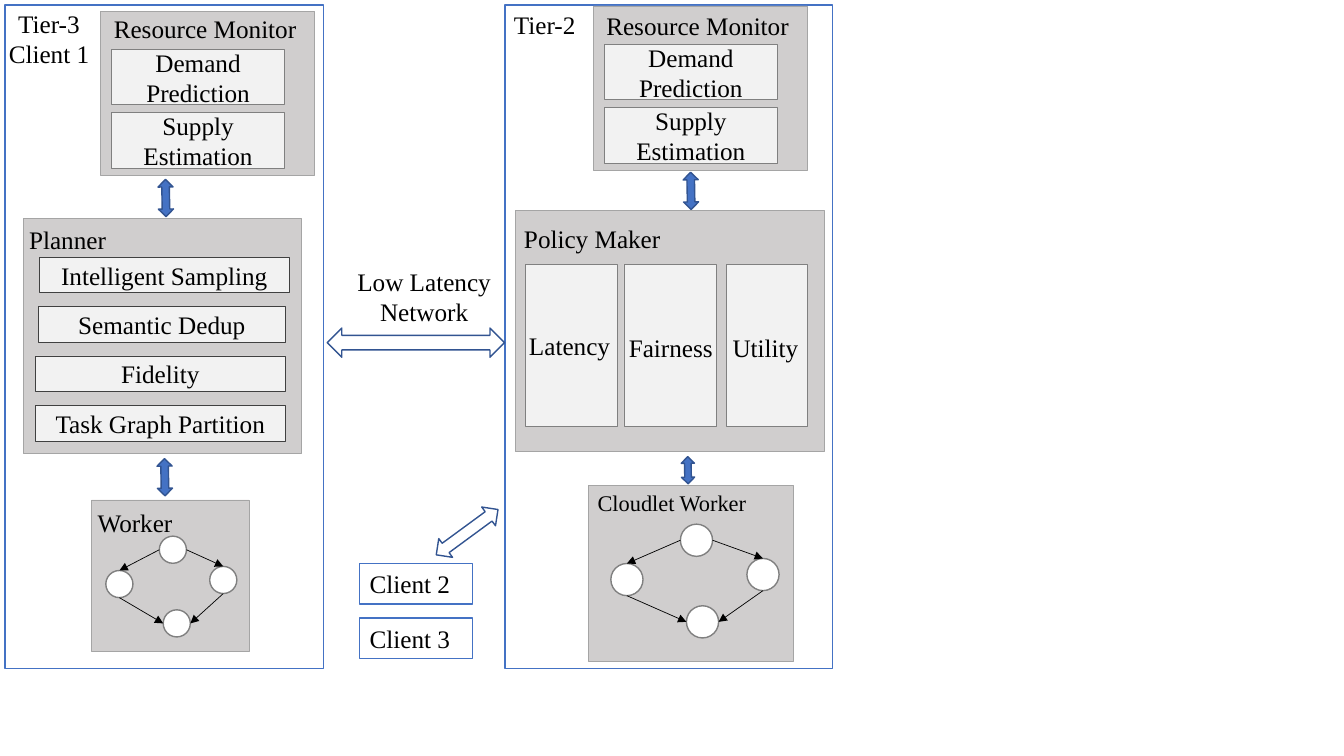
from pptx import Presentation
from pptx.dml.color import RGBColor
from pptx.enum.shapes import MSO_CONNECTOR, MSO_SHAPE
from pptx.enum.text import MSO_ANCHOR, PP_ALIGN
from pptx.oxml.ns import qn
from pptx.util import Pt
from lxml.etree import SubElement

BLACK = RGBColor(0x00, 0x00, 0x00)
WHITE = RGBColor(0xFF, 0xFF, 0xFF)
BLUE = RGBColor(0x44, 0x72, 0xC4)
DARK_BLUE = RGBColor(0x32, 0x54, 0x91)
PANEL = RGBColor(0xD0, 0xCE, 0xCE)
PANEL_EDGE = RGBColor(0xA5, 0xA5, 0xA5)
LIGHT = RGBColor(0xF2, 0xF2, 0xF2)
GRAY = RGBColor(0x80, 0x80, 0x80)
DARK_GRAY = RGBColor(0x40, 0x40, 0x40)

prs = Presentation()
prs.slide_width, prs.slide_height = Pt(960), Pt(540)
s = prs.slides.add_slide(prs.slide_layouts[6])


def add_box(kind, x, y, w, h, fill, line, weight):
    """Add a preset shape with a flat fill and outline."""
    sp = s.shapes.add_shape(kind, Pt(x), Pt(y), Pt(w), Pt(h))
    sp.shadow.inherit = False
    sp.fill.solid()
    sp.fill.fore_color.rgb = fill
    sp.line.color.rgb = line
    sp.line.width = Pt(weight)
    return sp


def write(sp, text, align=PP_ALIGN.LEFT, anchor=MSO_ANCHOR.TOP, size=18):
    """Write black serif text into a shape, one paragraph per line."""
    tf = sp.text_frame
    tf.text = text
    tf.word_wrap = True
    tf.vertical_anchor = anchor
    for p in tf.paragraphs:
        p.alignment = align
        p.font.name = "Times New Roman"
        p.font.size = Pt(size)
        p.font.color.rgb = BLACK


# Tier frames
for x, w in [(360.7, 234), (3.6, 227.5)]:
    add_box(MSO_SHAPE.RECTANGLE, x, 3.6, w, 473.8, WHITE, BLUE, 1)

# Gray panels: planner, worker, policy maker, cloudlet worker
for x, y, w, h in [(16.6, 156.2, 198.7, 167.8), (65.5, 357.1, 112.3, 108),
                   (367.9, 150.5, 221, 172.1), (420.5, 347, 146.2, 125.3)]:
    add_box(MSO_SHAPE.RECTANGLE, x, y, w, h, PANEL, PANEL_EDGE, 0.5)

# Resource monitors
for x, y in [(72, 7.9), (424, 4.3)]:
    add_box(MSO_SHAPE.RECTANGLE, x, y, 152.6, 117.4, PANEL, PANEL_EDGE, 0.5)
    for dy, name in [(27.4, "Demand Prediction"), (72.5, "Supply Estimation")]:
        sp = add_box(MSO_SHAPE.RECTANGLE, x + 7.6, y + dy, 123.8, 39.6, LIGHT, GRAY, 0.5)
        write(sp, name, PP_ALIGN.CENTER, MSO_ANCHOR.MIDDLE)

# Planner steps
steps = [("Intelligent Sampling", 28.1, 178.6), ("Semantic Dedup", 27.4, 176.4),
         ("Fidelity", 25.2, 178.6), ("Task Graph Partition", 25.2, 178.6)]
for i, (name, x, w) in enumerate(steps):
    sp = add_box(MSO_SHAPE.RECTANGLE, x, 183.6 + 35.3 * i, w, 25.6, LIGHT, DARK_GRAY, 0.5)
    write(sp, name, PP_ALIGN.CENTER, MSO_ANCHOR.MIDDLE)

# Policy columns
for x, w in [(375.1, 66.2), (445.7, 66.2), (519.1, 57.6)]:
    add_box(MSO_SHAPE.RECTANGLE, x, 188.6, w, 115.9, LIGHT, GRAY, 0.5)

# Task graphs: node diameter, then top, left, right and bottom nodes
graphs = [(19.4, [(113.8, 383), (75.6, 407.5), (149.8, 404.6), (116.6, 435.6)]),
          (23, [(486, 374.4), (436.3, 402.5), (533.5, 398.9), (490.3, 432.7)])]
for d, nodes in graphs:
    for x, y in nodes:
        add_box(MSO_SHAPE.FLOWCHART_CONNECTOR, x, y, d, d, WHITE, GRAY, 1)
    (tx, ty), (lx, ly), (rx, ry), (bx, by) = nodes
    r = d / 2
    for x1, y1, x2, y2 in [(tx, ty + r, lx + r, ly), (lx + r, ly + d, bx, by + r),
                           (tx + d, ty + r, rx + r, ry), (rx + r, ry + d, bx + d, by + r)]:
        edge = s.shapes.add_connector(MSO_CONNECTOR.STRAIGHT, Pt(x1), Pt(y1), Pt(x2), Pt(y2))
        edge.line.color.rgb = BLACK
        edge.line.width = Pt(0.5)
        SubElement(edge.line._get_or_add_ln(), qn("a:tailEnd"), type="triangle")
        SubElement(edge._element.spPr, qn("a:effectLst"))

# Solid arrows between panels
for x, y, w, h in [(105.1, 136.1, 26.6, 10.8), (104.4, 335.5, 26.6, 10.8),
                   (480.2, 131, 26.6, 10.8), (481.7, 331.2, 19.4, 9.4)]:
    arrow = add_box(MSO_SHAPE.LEFT_RIGHT_ARROW, x, y, w, h, BLUE, DARK_BLUE, 1)
    arrow.rotation = 89

# Hollow arrows between tiers and clients
for x, y, w, h, angle in [(286.6, 181.4, 20.9, 126.7, 90), (325.4, 352.8, 16.6, 54.7, 53.7)]:
    arrow = add_box(MSO_SHAPE.UP_DOWN_ARROW, x, y, w, h, WHITE, DARK_BLUE, 1)
    arrow.rotation = angle

# Other clients
for name, y in [("Client 2", 402.5), ("Client 3", 441.4)]:
    write(add_box(MSO_SHAPE.RECTANGLE, 257, y, 80.6, 29, WHITE, BLUE, 1), name)

# Labels
L, C = PP_ALIGN.LEFT, PP_ALIGN.CENTER
labels = [("Tier-3\nClient 1", -1.5, 2.2, 73, 51, C, 18),
          ("Tier-2", 360, 2.9, 66, 29, L, 18),
          ("Resource Monitor", 74.2, 5.8, 185, 29, L, 18),
          ("Resource Monitor", 426, 3.6, 185, 29, L, 18),
          ("Planner", 13.7, 157, 107, 29, L, 18),
          ("Worker", 62.6, 358.6, 94, 29, L, 18),
          ("Policy Maker", 367.2, 156.2, 190, 29, L, 18),
          ("Cloudlet Worker", 419.8, 345.6, 122, 27, L, 16),
          ("Low Latency\nNetwork", 246, 186.5, 114, 51, C, 18),
          ("Latency", 370.8, 232.6, 75, 29, L, 18),
          ("Fairness", 442.1, 234, 75, 29, L, 18),
          ("Utility", 516.2, 234, 75, 29, L, 18)]
for text, x, y, w, h, align, size in labels:
    write(s.shapes.add_textbox(Pt(x), Pt(y), Pt(w), Pt(h)), text, align, size=size)

prs.save("out.pptx")
